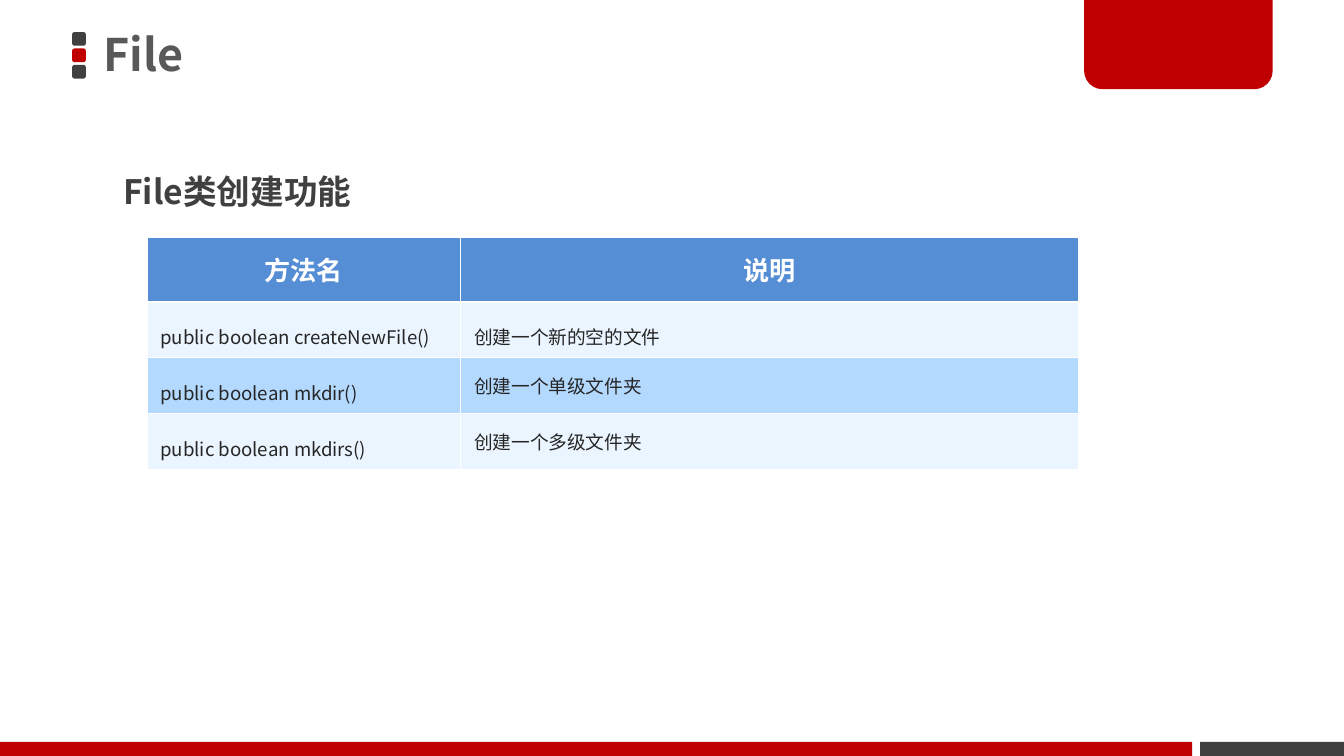
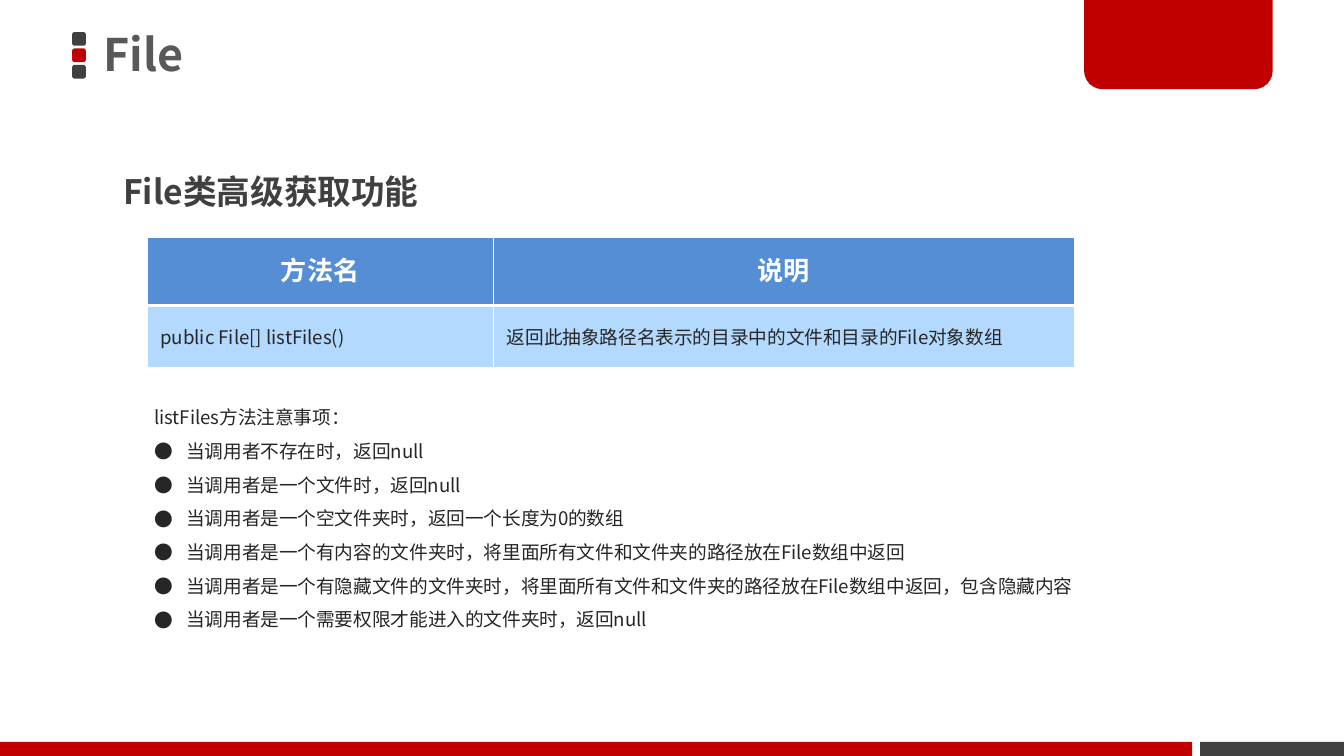
"""Build two slides on the creation and listing methods of the File class."""
from dataclasses import dataclass

import pptx
import pptx.dml.color
import pptx.enum.shapes
import pptx.enum.text
import pptx.oxml
import pptx.oxml.ns
import pptx.util

Pt = pptx.util.Pt
SHAPES = pptx.enum.shapes.MSO_SHAPE
ALIGN = pptx.enum.text.PP_ALIGN
ANCHOR = pptx.enum.text.MSO_ANCHOR
FIT = pptx.enum.text.MSO_AUTO_SIZE

PAGES = [
    {
        "title": "File",
        "heading": "File类创建功能",
        "columns": (168.2, 331),
        "header_height": 34.8,
        "row_height": 30,
        "row_fills": ("EBF5FF", "B3D9FF"),
        "rows": [
            (("public boolean createNewFile()", 1.5), ("创建一个新的空的文件", 1.5)),
            (("public boolean mkdir()", 1.5), ("创建一个单级文件夹", 1)),
            (("public boolean mkdirs()", 1.5), ("创建一个多级文件夹", 1)),
        ],
        "notes_title": None,
    },
    {
        "title": "File",
        "heading": "File类高级获取功能",
        "columns": (185.7, 311),
        "header_height": 36.7,
        "row_height": 33,
        "row_fills": ("B3D9FF",),
        "rows": [
            (("public File[] listFiles()", 1),
             ("返回此抽象路径名表示的目录中的文件和目录的File对象数组", 1)),
        ],
        "notes_title": "listFiles方法注意事项：",
        "notes": [
            "当调用者不存在时，返回null",
            "当调用者是一个文件时，返回null",
            "当调用者是一个空文件夹时，返回一个长度为0的数组",
            "当调用者是一个有内容的文件夹时，将里面所有文件和文件夹的路径放在File数组中返回",
            "当调用者是一个有隐藏文件的文件夹时，将里面所有文件和文件夹的路径放在File数组中返回，包含隐藏内容",
            "当调用者是一个需要权限才能进入的文件夹时，返回null",
        ],
    },
]
TABLE_HEADER = ("方法名", "说明")


@dataclass(frozen=True)
class Theme:
    """Colours, font and type sizes of the deck."""
    font: str = "Noto Sans CJK SC"
    red: str = "C00000"
    dark: str = "404040"
    title: str = "595959"
    body: str = "262626"
    white: str = "FFFFFF"
    header: str = "558ED5"
    title_size: int = 24
    heading_size: int = 18
    header_size: int = 14
    body_size: int = 10
    thin: float = 0.45
    thick: float = 1.47


THEME = Theme()


def rgb(value):
    """Turn a hex string into a colour."""
    return pptx.dml.color.RGBColor.from_string(value)


def add_xml(parent, xml):
    """Append a DrawingML fragment to an element."""
    namespace = pptx.oxml.ns.nsdecls("a")
    parent.append(pptx.oxml.parse_xml(xml.replace(" ", f" {namespace} ", 1)))


def style_paragraph(para, size, color, bold=False, spacing=1.0, align=ALIGN.LEFT):
    """Format a paragraph and its runs."""
    para.alignment = align
    para.line_spacing = spacing
    for span in para.runs:
        span.font.size = Pt(size)
        span.font.bold = bold
        span.font.color.rgb = rgb(color)
        span.font.name = THEME.font
        add_xml(span.font._element, f'<a:ea typeface="{THEME.font}"/>')


def add_block(shapes, kind, left, top, width, height, color):
    """Add a plain filled shape without outline."""
    block = shapes.add_shape(kind, Pt(left), Pt(top), Pt(width), Pt(height))
    block.shadow.inherit = False
    block.fill.solid()
    block.fill.fore_color.rgb = rgb(color)
    block.line.fill.background()
    return block


def add_frame(page):
    """Draw the title marker, corner tab and footer bands."""
    marker = page.shapes.add_group_shape()
    for index, color in enumerate((THEME.dark, THEME.red, THEME.dark)):
        add_block(marker.shapes, SHAPES.ROUNDED_RECTANGLE,
                  38.7, 17.2 + index * 8.8, 7.3, 7.3, color)
    add_block(page.shapes, SHAPES.RECTANGLE, 643, 397.5, 77, 7.5, THEME.dark)
    tab = add_block(page.shapes, SHAPES.ROUND_2_SAME_RECTANGLE,
                    580.8, -1.5, 101, 49.3, THEME.red)
    tab.adjustments[0] = 0
    tab.adjustments[1] = 0.2
    add_block(page.shapes, SHAPES.RECTANGLE, 0, 397.5, 638.7, 7.5, THEME.red)


def add_title(page, text):
    """Place and format the title placeholder."""
    title = page.shapes.title
    title.left, title.top, title.width, title.height = Pt(49.7), Pt(-1.5), Pt(424), Pt(64)
    frame = title.text_frame
    frame.text = text
    frame.vertical_anchor = ANCHOR.MIDDLE
    frame.auto_size = FIT.NONE
    frame.margin_left = frame.margin_right = Pt(5.8)
    frame.margin_top = frame.margin_bottom = Pt(2.9)
    style_paragraph(frame.paragraphs[0], THEME.title_size, THEME.title, True, 0.9)


def add_text(page, left, top, width, height, lines):
    """Add a wrapping text box that holds the lines and return its paragraphs."""
    box = page.shapes.add_textbox(Pt(left), Pt(top), Pt(width), Pt(height))
    frame = box.text_frame
    frame.word_wrap = True
    frame.auto_size = FIT.SHAPE_TO_FIT_TEXT
    frame.text = "\n".join(lines)
    return frame.paragraphs


def format_cell(cell, text, fill, borders, **style):
    """Fill a cell with text, borders and colour."""
    cell.text = text
    properties = cell._tc.get_or_add_tcPr()
    for side, width in zip("LRTB", borders):
        add_xml(properties, f'<a:ln{side} w="{Pt(width)}"><a:solidFill>'
                            f'<a:srgbClr val="{THEME.white}"/></a:solidFill></a:ln{side}>')
    cell.fill.solid()
    cell.fill.fore_color.rgb = rgb(fill)
    style_paragraph(cell.text_frame.paragraphs[0], **style)


def add_method_table(page, content):
    """Add the table of methods and their descriptions."""
    rows, columns = content["rows"], content["columns"]
    heights = [content["header_height"]] + [content["row_height"]] * len(rows)
    table = page.shapes.add_table(len(heights), len(columns), Pt(78.7), Pt(126.9),
                                  Pt(sum(columns)), Pt(sum(heights))).table
    for column, width in zip(table.columns, columns):
        column.width = Pt(width)
    for row, height in zip(table.rows, heights):
        row.height = Pt(height)
    thin, thick = THEME.thin, THEME.thick
    for index, text in enumerate(TABLE_HEADER):
        format_cell(table.cell(0, index), text, THEME.header, (thin, thin, thin, thick),
                    size=THEME.header_size, color=THEME.white, bold=True,
                    spacing=Pt(24), align=ALIGN.CENTER)
    fills = content["row_fills"]
    for number, row in enumerate(rows, 1):
        top = thick if number == 1 else thin
        for index, (text, spacing) in enumerate(row):
            cell = table.cell(number, index)
            format_cell(cell, text, fills[(number - 1) % len(fills)],
                        (thin, thin, top, thin),
                        size=THEME.body_size, color=THEME.body, spacing=spacing)
            cell.vertical_anchor = ANCHOR.MIDDLE


def add_notes(page, title, notes):
    """Add the bulleted remarks under their lead line."""
    paragraphs = add_text(page, 75.5, 208, 590, 134, [title] + notes)
    for index, para in enumerate(paragraphs):
        style_paragraph(para, THEME.body_size, THEME.body, spacing=1.5)
        if index:
            properties = para._p.get_or_add_pPr()
            properties.set("marL", str(Pt(17.2)))
            properties.set("indent", str(Pt(-17.2)))
            add_xml(properties, f'<a:buClr ><a:srgbClr val="{THEME.body}"/></a:buClr>')
            add_xml(properties, f'<a:buFont typeface="{THEME.font}"/>')
            add_xml(properties, '<a:buChar char="●"/>')


def main():
    """Build and save the deck."""
    deck = pptx.Presentation()
    deck.slide_width, deck.slide_height = Pt(720), Pt(405)
    for content in PAGES:
        page = deck.slides.add_slide(deck.slide_layouts[5])
        add_frame(page)
        add_title(page, content["title"])
        heading = add_text(page, 59, 77, 558.7, 39.6, [content["heading"]])[0]
        style_paragraph(heading, THEME.heading_size, THEME.dark, True, 1.5)
        add_method_table(page, content)
        if content["notes_title"]:
            add_notes(page, content["notes_title"], content["notes"])
    deck.save("out.pptx")


if __name__ == "__main__":
    main()
